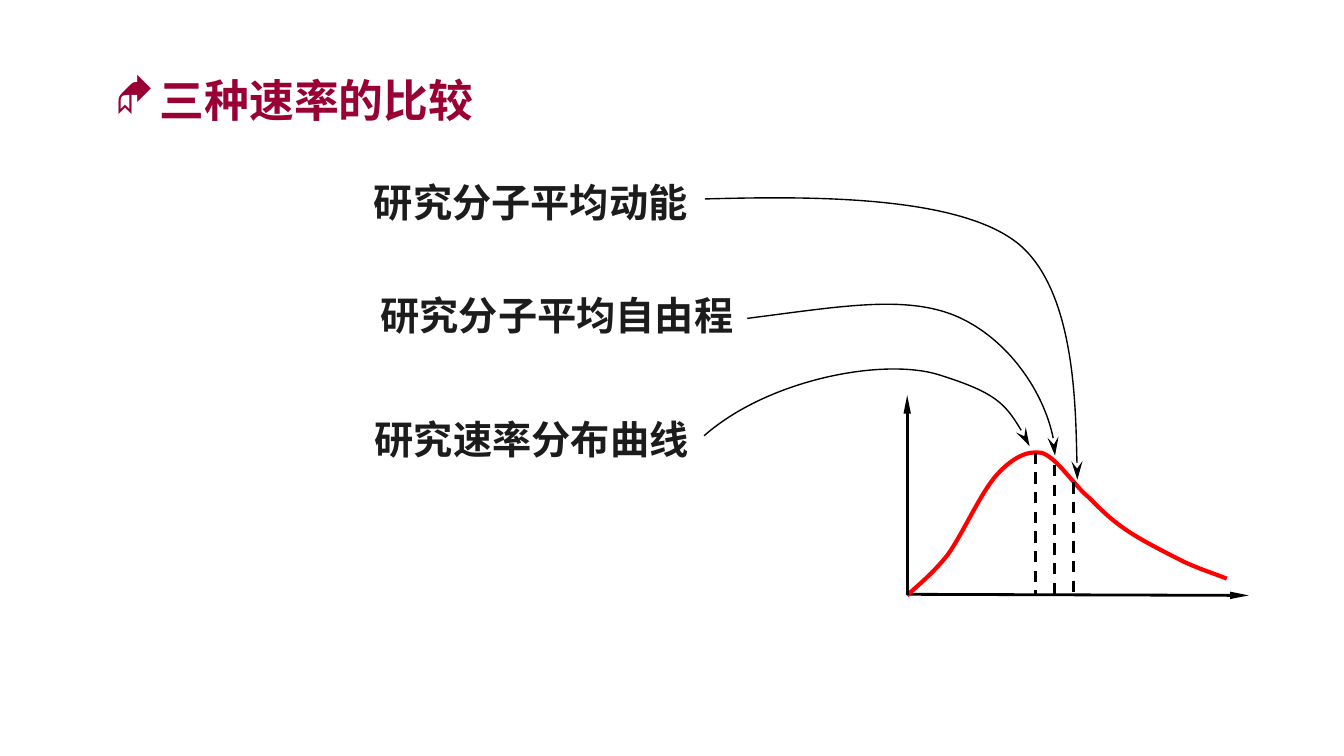
from lxml.etree import SubElement
from pptx import Presentation
from pptx.dml.color import RGBColor
from pptx.enum.dml import MSO_LINE
from pptx.enum.shapes import MSO_CONNECTOR
from pptx.enum.text import MSO_ANCHOR
from pptx.oxml.ns import qn
from pptx.util import Pt

COLORS = {"title": "990033", "label": "1C1C1C", "ink": "000000", "curve": "FF0000"}

# text, left, top, width, height
TITLE = ("三种速率的比较", 54.5, 35.3, 243.4, 36)
LABELS = [
    ("研究分子平均动能", 193.2, 91.8, 331.2, 32.4),
    ("研究分子平均自由程", 196.8, 152.6, 341.3, 32.4),
    ("研究速率分布曲线", 193.7, 218.9, 332.6, 32.4),
]
# start, end
X_AXIS = ((486, 318.4), (669, 319))
Y_AXIS = ((486, 319), (486, 211.7))
SPEED_MARKS = [
    ((554.6, 242.6), (554.6, 318.4)),
    ((565, 249.1), (565, 319.5)),
    ((575.3, 258.5), (575.3, 320.2)),
]

# Chained cubic Béziers: a start point, then two controls and an end per piece
DISTRIBUTION = [
    (486, 319),
    (489.6, 315.4), (499, 308.2), (507.6, 297.4),
    (515.5, 286.6), (525.6, 263.5), (534.2, 254.2),
    (542.2, 245.5), (550.1, 241.2), (558, 242.6),
    (565.9, 244.8), (575.3, 259.9), (583.2, 266.4),
    (590.4, 273.6), (595.4, 278.6), (604.1, 284.4),
    (612.7, 290.2), (625.7, 296.6), (634.3, 301),
    (643.7, 305.3), (653, 308.2), (657.2, 310),
]
POINTERS = [
    [(377.7, 106.6), (432, 105.1), (511.2, 104.4), (544.3, 129.6),
     (577.2, 154.8), (577.2, 257), (577.2, 257)],
    [(400.3, 170.6), (450.7, 164.2), (486, 157.7), (513.4, 169.9),
     (540.7, 182.2), (565.2, 218.9), (565.2, 244.1)],
    [(377.2, 233.5), (411.8, 203), (473.8, 191.5), (503.3, 200.9),
     (532.8, 210.2), (541.4, 218.2), (551.6, 239)],
]


def color(name):
    return RGBColor.from_string(COLORS[name])


def add_text(slide, item, size, font, color_name, bullet=None):
    text, *place = item
    box = slide.shapes.add_textbox(*map(Pt, place))
    frame = box.text_frame
    frame.word_wrap = True
    frame.vertical_anchor = MSO_ANCHOR.MIDDLE
    paragraph = frame.paragraphs[0]
    paragraph.text = text
    if bullet:
        properties = paragraph._p.get_or_add_pPr()
        properties.set("marL", str(Pt(size)))
        properties.set("indent", str(-Pt(size)))
        SubElement(properties, qn("a:buFont"), typeface="Wingdings")
        SubElement(properties, qn("a:buChar"), char=bullet)
    paragraph.font.name = font
    paragraph.font.size = Pt(size)
    paragraph.font.bold = True
    paragraph.font.color.rgb = color(color_name)


def style_line(line, color_name, width, dashed=False, head=None, head_width="med"):
    line.color.rgb = color(color_name)
    line.width = Pt(width)
    if dashed:
        line.dash_style = MSO_LINE.DASH
    if head:
        SubElement(line._get_or_add_ln(), qn("a:tailEnd"),
                   type=head, w=head_width, len="lg")


def add_line(slide, start, end, **style):
    connector = slide.shapes.add_connector(
        MSO_CONNECTOR.STRAIGHT, *map(Pt, (*start, *end)))
    style_line(connector.line, "ink", 1.5, **style)
    SubElement(connector._element.spPr, qn("a:effectLst"))


def add_curve(slide, points, *style, **options):
    """Draw the points as one freeform, each three segments merged into a cubic."""
    start, *rest = [tuple(map(Pt, point)) for point in points]
    builder = slide.shapes.build_freeform(*start)
    builder.add_line_segments(rest, close=False)
    shape = builder.convert_to_shape()
    segments = list(shape._element.iter(qn("a:lnTo")))
    for i in range(0, len(segments), 3):
        outline = segments[i].getparent()
        cubic = SubElement(outline, qn("a:cubicBezTo"))
        for segment in segments[i:i + 3]:
            cubic.append(segment[0])
            outline.remove(segment)
    shape.shadow.inherit = False
    shape.fill.background()
    style_line(shape.line, *style, **options)


def main():
    presentation = Presentation()
    presentation.slide_width, presentation.slide_height = Pt(720), Pt(405)
    slide = presentation.slides.add_slide(presentation.slide_layouts[6])

    add_text(slide, TITLE, 24, "Arial", "title", bullet="◆")
    for label in LABELS:
        add_text(slide, label, 21, "Times New Roman", "label")

    add_line(slide, *X_AXIS, head="triangle", head_width="sm")
    add_curve(slide, DISTRIBUTION, "curve", 2.25)
    add_line(slide, *Y_AXIS, head="triangle", head_width="sm")
    for start, end in SPEED_MARKS:
        add_line(slide, start, end, dashed=True)
    for pointer in POINTERS:
        add_curve(slide, pointer, "ink", 0.75, head="stealth")

    presentation.save("out.pptx")


if __name__ == "__main__":
    main()
